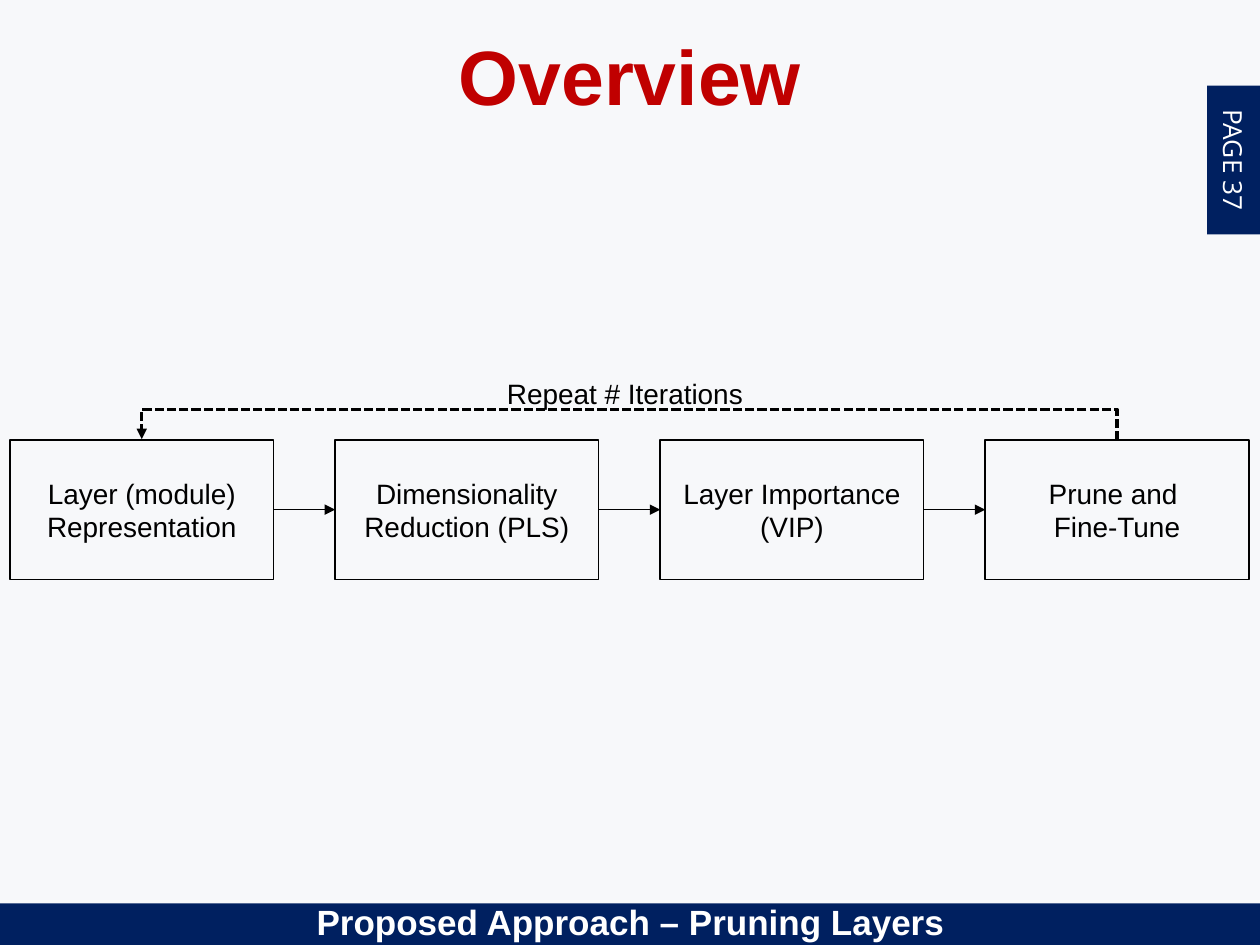
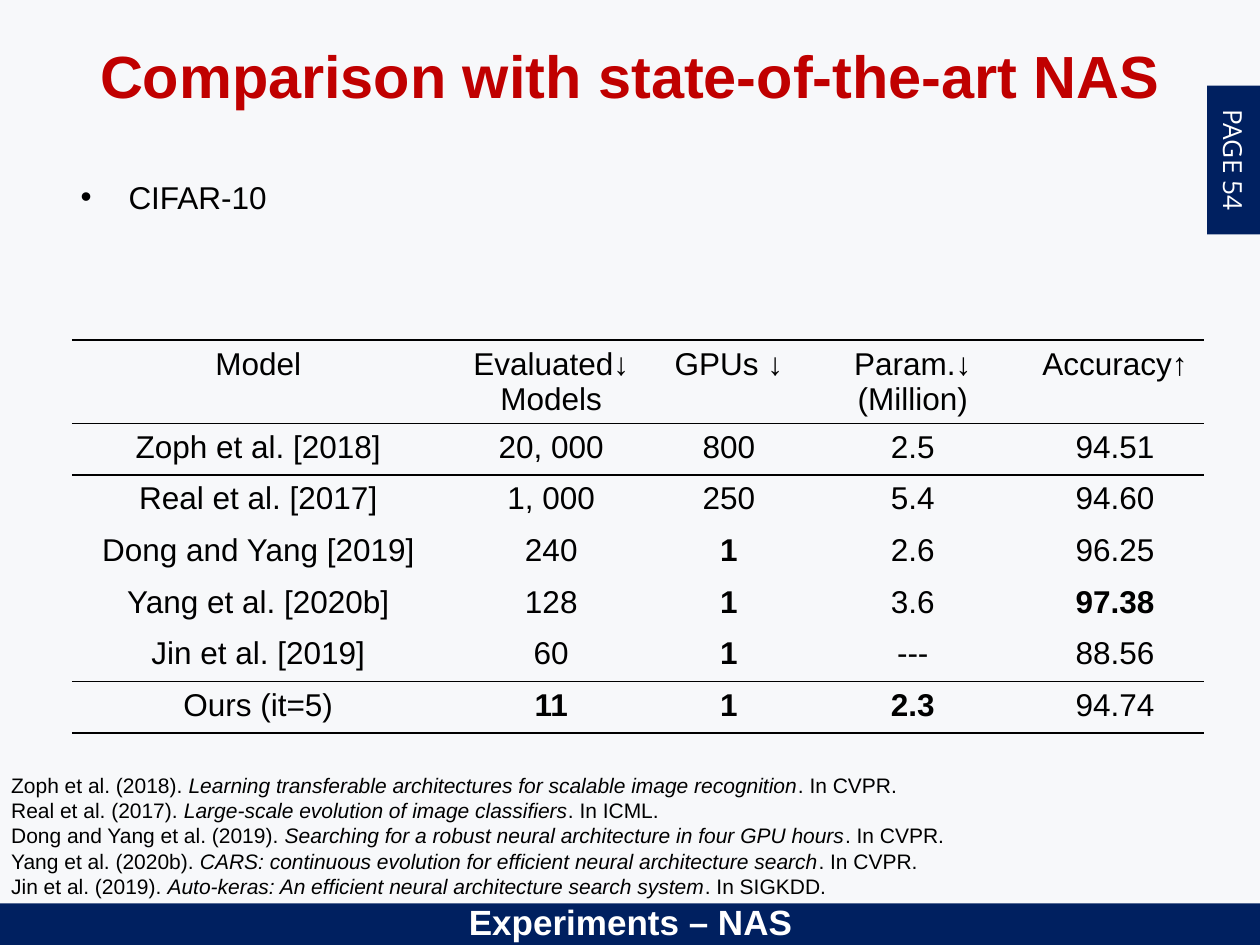
from itertools import pairwise

from lxml import etree
from pptx import Presentation
from pptx.dml.color import RGBColor
from pptx.enum import dml, shapes, text
from pptx.oxml import ns
from pptx.util import Inches, Pt

PAPER, NAVY, RED, BLACK, WHITE = "F7F8FA", "002060", "C00000", "000000", "FFFFFF"
NO_TABLE_STYLE = "{2D5ABB26-0587-4C30-8999-92F81FD0307C}"
CENTER, LEFT = text.PP_ALIGN.CENTER, text.PP_ALIGN.LEFT
MIDDLE, TOP = text.MSO_ANCHOR.MIDDLE, text.MSO_ANCHOR.TOP


def rgb(value):
    return RGBColor.from_string(value)


def sub(parent, tag, **attrs):
    return etree.SubElement(parent, ns.qn(tag), attrs)


def write(tf, paragraphs, size=18, color=BLACK, font="Arial", bold=False,
          align=CENTER, anchor=MIDDLE, bullet=None, indent=0.0):
    """Fill a text frame; a paragraph is a string or a list of (text, italic)."""
    tf.word_wrap = True
    tf.auto_size = text.MSO_AUTO_SIZE.NONE
    tf.vertical_anchor = anchor
    for i, parts in enumerate(paragraphs):
        p = tf.add_paragraph() if i else tf.paragraphs[0]
        p.alignment = align
        p.space_before = Pt(0)
        pPr = p._p.get_or_add_pPr()
        pPr.set("marL", str(Inches(indent)))
        pPr.set("indent", str(-Inches(indent)))
        if bullet:
            sub(pPr, "a:buChar", char=bullet)
        else:
            sub(pPr, "a:buNone")
        for words, italic in [(parts, False)] if isinstance(parts, str) else parts:
            r = p.add_run()
            r.text = words
            r.font.name, r.font.size = font, Pt(size)
            r.font.bold, r.font.italic = bold, italic
            r.font.color.rgb = rgb(color)


def border(cell, *sides):
    """Draw 1 pt lines on the given sides, in the order lnT, lnB."""
    tcPr = cell._tc.get_or_add_tcPr()
    for i, side in enumerate(sides):
        ln = sub(tcPr, f"a:{side}", w=str(Pt(1)))
        sub(sub(ln, "a:solidFill"), "a:srgbClr", val=BLACK)
        tcPr.insert(i, ln)


class Deck:
    def __init__(self):
        self.prs = Presentation()
        self.prs.slide_width, self.prs.slide_height = Inches(10), Inches(7.5)
        fill = self.prs.slide_master.background.fill
        fill.solid()
        fill.fore_color.rgb = rgb(PAPER)

    def new_slide(self, layout, title, section, page, title_size=44):
        self.slide = self.prs.slides.add_slide(self.prs.slide_layouts[layout])
        # Band goes behind the section name
        band = self.rect(0, 7.17, 10, 0.34, fill=NAVY)
        self.slide.shapes._spTree.insert(2, band._element)
        tab = self.rect(9.2, 1.06, 1.18, 0.42, [f"PAGE {page}"], fill=NAVY,
                        size=15, color=WHITE, font="Open Sans")
        tab.rotation = 90
        self.placeholder(0, 0.5, 0.12, 9, 0.94, [title],
                         size=title_size, color=RED, bold=True)
        self.placeholder(1, 1.94, 7.1, 6.13, 0.36, [section],
                         size=20, color=WHITE, bold=True, anchor=TOP)

    def placeholder(self, idx, x, y, w, h, paragraphs, **fmt):
        sp = self.slide.placeholders[idx]
        sp.left, sp.top, sp.width, sp.height = map(Inches, (x, y, w, h))
        write(sp.text_frame, paragraphs, **fmt)

    def rect(self, x, y, w, h, paragraphs=(), fill=None, line=None, **fmt):
        sp = self.slide.shapes.add_shape(
            shapes.MSO_SHAPE.RECTANGLE, *map(Inches, (x, y, w, h)))
        sp.shadow.inherit = False
        for part, color in ((sp.fill, fill), (sp.line.fill, line)):
            if color:
                part.solid()
                part.fore_color.rgb = rgb(color)
            else:
                part.background()
        if line:
            sp.line.width = Pt(1)
        write(sp.text_frame, paragraphs, **fmt)
        return sp

    def label(self, x, y, w, h, paragraphs, **fmt):
        sp = self.slide.shapes.add_textbox(*map(Inches, (x, y, w, h)))
        write(sp.text_frame, paragraphs, **fmt)

    def arrow(self, kind, x1, y1, x2, y2, width, dash=None):
        c = self.slide.shapes.add_connector(kind, *map(Inches, (x1, y1, x2, y2)))
        c.line.color.rgb = rgb(BLACK)
        c.line.width = Pt(width)
        if dash:
            c.line.dash_style = dash
        sub(c.line._get_or_add_ln(), "a:tailEnd", type="triangle")
        sub(c._element.spPr, "a:effectLst")
        return c

    def loop_back(self, x_from, x_to, y, rise):
        """Dashed elbow that leaves a box top, rises and returns to another."""
        thin, span, mid = 0.01, x_from - x_to, (x_from + x_to) / 2
        x, top = mid - thin / 2, y - span / 2
        c = self.arrow(shapes.MSO_CONNECTOR.ELBOW, x, top + span, x + thin, top,
                       1.75, dml.MSO_LINE.SQUARE_DOT)
        spPr = c._element.spPr
        spPr.find(ns.qn("a:xfrm")).set("rot", str(270 * 60000))
        guides = spPr.find(ns.qn("a:prstGeom")).get_or_add_avLst()
        sub(guides, "a:gd", name="adj1", fmla=f"val {round(rise / thin * 100000)}")

    def table(self, x, y, widths, heights, rows, bold_cells, rules):
        frame = self.slide.shapes.add_table(
            len(rows), len(widths), Inches(x), Inches(y),
            Inches(sum(widths)), Inches(sum(heights)))
        tbl = frame.table
        tbl.first_row = tbl.horz_banding = False
        tbl._tbl.tblPr.find(ns.qn("a:tableStyleId")).text = NO_TABLE_STYLE
        for column, w in zip(tbl.columns, widths):
            column.width = Inches(w)
        for i, (row, h) in enumerate(zip(rows, heights)):
            tbl.rows[i].height = Inches(h)
            for j, value in enumerate(row):
                cell = tbl.cell(i, j)
                cell.fill.background()
                write(cell.text_frame, value.split("\n"), bold=(i, j) in bold_cells)
                cell.vertical_anchor = TOP
                border(cell, *rules.get(i, ()))


def overview(deck):
    deck.new_slide(1, "Overview", "Proposed Approach – Pruning Layers", 37)

    # Pipeline steps
    steps = [["Layer (module)", "Representation"],
             ["Dimensionality", "Reduction (PLS)"],
             ["Layer Importance", "(VIP)"],
             ["Prune and ", "Fine-Tune"]]
    left, top, w, h, pitch = 0.08, 3.49, 2.09, 1.11, 2.58
    lefts = [left + i * pitch for i in range(len(steps))]
    for x, step in zip(lefts, steps):
        deck.rect(x, top, w, h, step, line=BLACK, size=16)

    # Flow between steps, and the repeat loop
    for x, following in pairwise(lefts):
        deck.arrow(shapes.MSO_CONNECTOR.STRAIGHT, x + w, top + h / 2,
                   following, top + h / 2, 0.5)
    deck.loop_back(lefts[-1] + w / 2, lefts[0] + w / 2, top, 0.25)
    deck.label(3.84, 2.92, 2.24, 0.4, ["Repeat # Iterations"], size=16)


def comparison(deck):
    deck.new_slide(3, "Comparison with state-of-the-art NAS", "Experiments – NAS",
                   54, title_size=34)
    deck.placeholder(2, 0.54, 1.36, 8.96, 1.11, ["CIFAR-10"], align=LEFT,
                     anchor=TOP, bullet="•", indent=0.38)

    # Results
    rows = [
        ["Model", "Evaluated↓\nModels", "GPUs ↓", "Param.↓\n(Million)", "Accuracy↑"],
        ["Zoph et al. [2018]", "20, 000", "800", "2.5", "94.51"],
        ["Real et al. [2017]", "1, 000", "250", "5.4", "94.60"],
        ["Dong and Yang [2019]", "240", "1", "2.6", "96.25"],
        ["Yang et al. [2020b]", "128", "1", "3.6", "97.38"],
        ["Jin et al. [2019]", "60", "1", "---", "88.56"],
        ["Ours (it=5)", "11", "1", "2.3", "94.74"],
    ]
    best = {(3, 2), (4, 2), (4, 4), (5, 2), (6, 1), (6, 2), (6, 3)}
    rules = {0: ("lnT", "lnB"), 1: ("lnT",), 5: ("lnB",), 6: ("lnT", "lnB")}
    deck.table(0.57, 2.7, [2.96, 1.69, 1.13, 1.79, 1.42],
               [0.66] + [0.41] * 6, rows, best, rules)

    # References
    references = [
        ("Zoph et al. (2018). ",
         "Learning transferable architectures for scalable image recognition", "CVPR"),
        ("Real et al. (2017). ",
         "Large-scale evolution of image classifiers", "ICML"),
        ("Dong and Yang et al. (2019). ",
         "Searching for a robust neural architecture in four GPU hours", "CVPR"),
        ("Yang et al. (2020b). ",
         "CARS: continuous evolution for efficient neural architecture search", "CVPR"),
        ("Jin et al. (2019). ",
         "Auto-keras: An efficient neural architecture search system", "SIGKDD"),
    ]
    deck.label(-0.01, 5.92, 9.19, 1.42,
               [[(who, False), (paper, True), (f". In {venue}.", False)]
                for who, paper, venue in references], size=12, align=LEFT)


def main():
    deck = Deck()
    overview(deck)
    comparison(deck)
    deck.prs.save("out.pptx")


if __name__ == "__main__":
    main()
